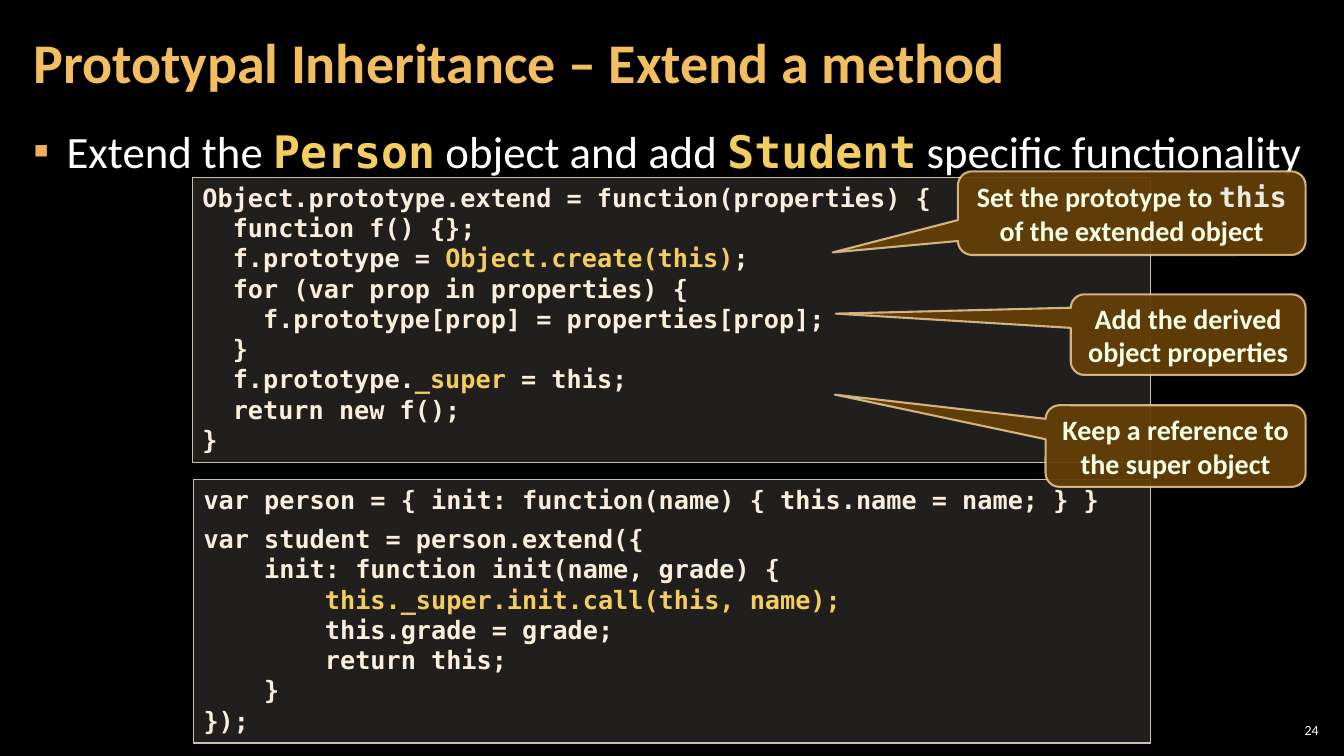
from lxml.etree import SubElement
from pptx import Presentation
from pptx.dml.color import RGBColor
from pptx.enum.shapes import MSO_SHAPE
from pptx.enum.text import MSO_ANCHOR, MSO_AUTO_SIZE, PP_ALIGN
from pptx.oxml.ns import qn
from pptx.util import Inches, Pt

BLACK = RGBColor(0x00, 0x00, 0x00)
WHITE = RGBColor(0xFF, 0xFF, 0xFF)
ORANGE = RGBColor(0xF3, 0xBE, 0x60)
BULLET = RGBColor(0xF2, 0xB2, 0x54)
GOLD = RGBColor(0xF3, 0xCD, 0x60)
CREAM = RGBColor(0xFB, 0xEE, 0xDC)
SAND = RGBColor(0xD9, 0xD5, 0xC7)
EDGE = RGBColor(0xC7, 0xBF, 0xAC)
BROWN = RGBColor(0x64, 0x3F, 0x07)
TAN = RGBColor(0xF8, 0xD4, 0x9E)
IVORY = RGBColor(0xF7, 0xFF, 0xE7)
PALE = RGBColor(0xEC, 0xEA, 0xE3)

SANS = "Calibri"
MONO = "DejaVu Sans Mono"

EXTEND = [
    ["Object.prototype.extend = function(properties) {"],
    ["  function f() {};"],
    ["  f.prototype = ", "Object.create(this)", ";"],
    ["  for (var prop in properties) {"],
    ["    f.prototype[prop] = properties[prop];"],
    ["  }"],
    ["  f.prototype.", "_super", " = this;"],
    ["  return new f();"],
    ["}"],
]
STUDENT = [
    ["var person = { init: function(name) { this.name = name; } }"],
    ["var student = person.extend({"],
    ["    init: function init(name, grade) {"],
    ["        ", "this._super.init.call(this, name);"],
    ["        this.grade = grade;"],
    ["        return this;"],
    ["    }"],
    ["});"],
]
NOTES = [
    ((9.5, 1.7, 3.45, 0.83), (-0.86, 0.47),
     ["Set the prototype to ", "this", " of the extended object"]),
    ((10.62, 2.92, 2.33, 0.8), (-1.5, -0.26),
     ["Add the derived object properties"]),
    ((10.37, 4.02, 2.58, 0.81), (-1.31, -0.63),
     ["Keep a reference to the super object"]),
]


class Deck:
    """Hold the slide and its style, with a method per kind of element."""

    def __init__(self):
        self.show = Presentation()
        self.show.slide_width = Inches(13.33)
        self.show.slide_height = Inches(7.5)
        self.slide = self.show.slides.add_slide(self.show.slide_layouts[1])
        back = self.slide.background.fill
        back.solid()
        back.fore_color.rgb = BLACK

    def place(self, shape, box):
        shape.left, shape.top, shape.width, shape.height = map(Inches, box)

    def frame(self, shape, pads, anchor, fit=MSO_AUTO_SIZE.NONE):
        text = shape.text_frame
        text.word_wrap = True
        text.auto_size = fit
        text.vertical_anchor = anchor
        text.margin_left = text.margin_right = Inches(pads[0])
        text.margin_top = text.margin_bottom = Inches(pads[1])
        return text

    def add_runs(self, para, parts, size, plain, accent=None):
        for i, part in enumerate(parts):
            face, color, bold = accent if i % 2 else plain
            run = para.add_run()
            run.text = part
            run.font.name = face
            run.font.size = Pt(size)
            run.font.bold = bold
            run.font.color.rgb = color

    def title(self, words):
        shape = self.slide.shapes.title
        self.place(shape, (0.21, 0.04, 10.47, 1.21))
        para = self.frame(shape, (0.12, 0.04), MSO_ANCHOR.MIDDLE).paragraphs[0]
        para.alignment = PP_ALIGN.LEFT
        para.line_spacing = 0.9
        self.add_runs(para, [words], 40, (SANS, ORANGE, True))

    def body(self, parts):
        shape = self.slide.placeholders[1]
        self.place(shape, (0.21, 1.16, 12.91, 6.09))
        para = self.frame(shape, (0.12, 0.04), MSO_ANCHOR.TOP).paragraphs[0]
        props = para._p.get_or_add_pPr()
        props.set("marL", str(Inches(0.33)))
        props.set("indent", str(Inches(-0.33)))
        tint = SubElement(props, qn("a:buClr"))
        SubElement(tint, qn("a:srgbClr"), val=str(BULLET))
        SubElement(props, qn("a:buFont"), typeface=SANS)
        SubElement(props, qn("a:buChar"), char="▪")
        para.line_spacing = 1.05
        para.space_before = Pt(0)
        para.space_after = Pt(6)
        self.add_runs(para, parts, 32, (SANS, WHITE, False), (MONO, GOLD, True))

    def panel(self, kind, box, fill, line, width, alphas):
        shape = self.slide.shapes.add_shape(kind, *map(Inches, box))
        shape.shadow.inherit = False
        shape.fill.solid()
        shape.fill.fore_color.rgb = fill
        shape.line.color.rgb = line
        shape.line.width = Pt(width)
        tints = shape._element.spPr.iter(qn("a:srgbClr"))
        for tint, alpha in zip(list(tints), alphas):
            SubElement(tint, qn("a:alpha"), val=str(alpha * 1000))
        return shape

    def code(self, box, lines, gaps=()):
        shape = self.panel(MSO_SHAPE.RECTANGLE, box, SAND, EDGE, 1, (15, 100))
        text = self.frame(shape, (0.1, 0.05), MSO_ANCHOR.TOP,
                          MSO_AUTO_SIZE.SHAPE_TO_FIT_TEXT)
        for i, parts in enumerate(lines):
            para = text.add_paragraph() if i else text.paragraphs[0]
            para.alignment = PP_ALIGN.LEFT
            if i in gaps:
                para.space_before = Pt(6)
            self.add_runs(para, parts, 18, (MONO, CREAM, True),
                          (MONO, GOLD, True))

    def note(self, box, tip, parts):
        shape = self.panel(MSO_SHAPE.ROUNDED_RECTANGULAR_CALLOUT, box,
                           BROWN, TAN, 1.5, (95, 80))
        for i, value in enumerate((*tip, 0.17)):
            shape.adjustments[i] = value
        para = self.frame(shape, (0.1, 0.05), MSO_ANCHOR.MIDDLE).paragraphs[0]
        para.alignment = PP_ALIGN.CENTER
        self.add_runs(para, parts, 20, (SANS, IVORY, True), (MONO, PALE, True))

    def number(self, digits):
        box = map(Inches, (12.65, 7.14, 0.47, 0.21))
        shape = self.slide.shapes.add_textbox(*box)
        para = self.frame(shape, (0.04, 0.04), MSO_ANCHOR.MIDDLE).paragraphs[0]
        para.alignment = PP_ALIGN.RIGHT
        self.add_runs(para, [digits], 10, (SANS, WHITE, False))


def main():
    deck = Deck()
    deck.number("24")
    deck.body(["Extend the ", "Person", " object and add ", "Student",
               " specific functionality"])
    deck.title("Prototypal Inheritance – Extend a method")
    deck.code((1.92, 4.76, 9.49, 2.61), STUDENT, gaps=(1,))
    deck.code((1.91, 1.76, 9.5, 2.83), EXTEND)
    for box, tip, parts in NOTES:
        deck.note(box, tip, parts)
    deck.show.save("out.pptx")


if __name__ == "__main__":
    main()
